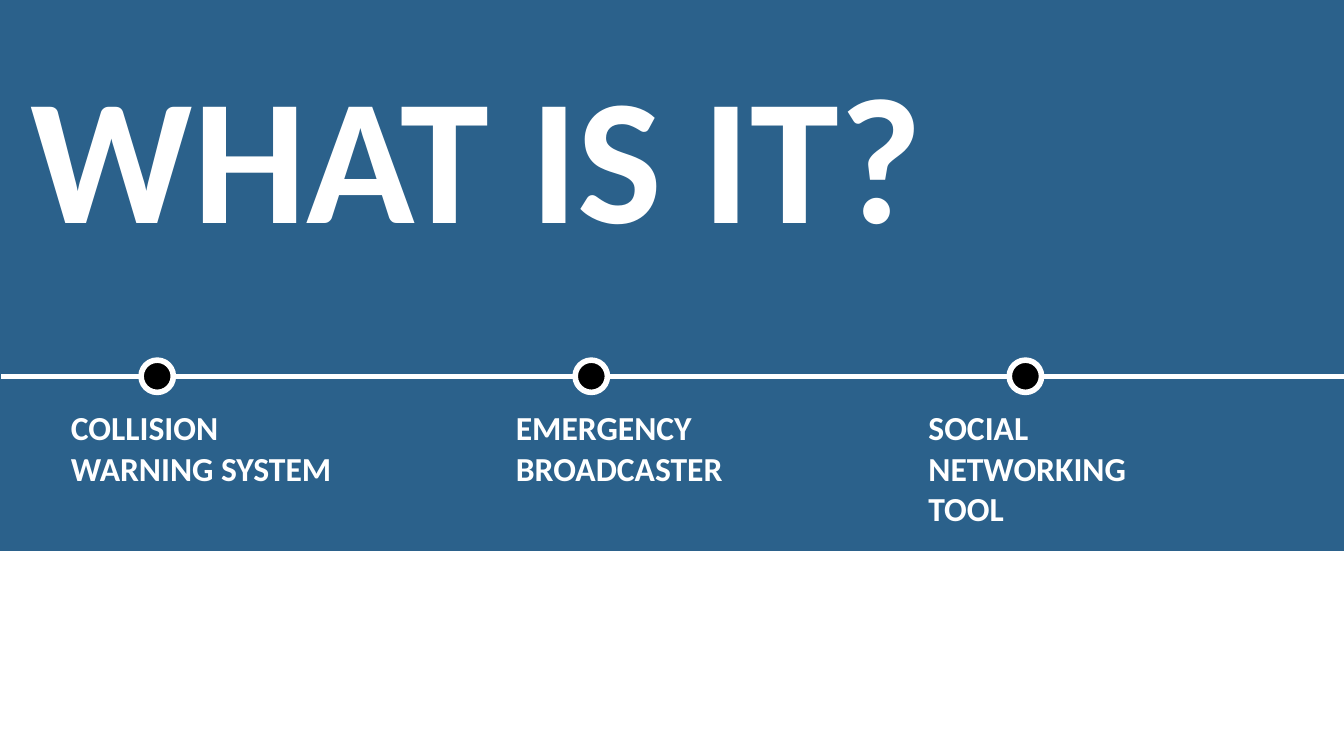
from dataclasses import dataclass

from lxml import etree
from pptx import Presentation
from pptx import util as u
from pptx.dml.color import RGBColor
from pptx.enum import shapes, text
from pptx.oxml.ns import qn

HUES = {"band": "2B618B", "dot": "000000", "light": "FFFFFF"}
FONT = "Calibri"
WIDTH = 10
AXIS = 2.8
DOT = 0.24
FIRST, STEP = 1.05, 3.23


@dataclass
class Stop:
    label: str
    left: float


STOPS = [
    Stop("COLLISION WARNING SYSTEM", 0.43),
    Stop("EMERGENCY BROADCASTER", 3.74),
    Stop("SOCIAL NETWORKING TOOL", 6.81),
]


def hue(name: str) -> RGBColor:
    return RGBColor.from_string(HUES[name])


def add_solid(slide, kind, box: tuple, fill: str):
    shape = slide.shapes.add_shape(kind, *map(u.Inches, box))
    shape.shadow.inherit = False
    shape.fill.solid()
    shape.fill.fore_color.rgb = hue(fill)
    shape.line.fill.background()
    return shape


def set_line(line) -> None:
    line.color.rgb = hue("light")
    line.width = u.Pt(3)


def set_text(shape, words: str, size: float, inset: float = 0.1) -> None:
    frame = shape.text_frame
    frame.text = words
    frame.word_wrap = True
    frame.auto_size = text.MSO_AUTO_SIZE.NONE
    frame.vertical_anchor = text.MSO_ANCHOR.TOP
    frame.margin_left = u.Inches(inset)
    frame.margin_right = frame.margin_top = frame.margin_bottom = u.Inches(0.1)
    para = frame.paragraphs[0]
    para.alignment = text.PP_ALIGN.LEFT
    para.line_spacing = 1.0
    para.space_before = u.Pt(0)
    font = para.runs[0].font
    font.name, font.size, font.bold = FONT, u.Pt(size), True
    font.color.rgb = hue("light")


def add_axis(slide) -> None:
    axis = slide.shapes.add_connector(
        shapes.MSO_CONNECTOR.STRAIGHT,
        u.Inches(0.01), u.Inches(AXIS), u.Inches(WIDTH), u.Inches(AXIS),
    )
    set_line(axis.line)
    etree.SubElement(axis._element.spPr, qn("a:effectLst"))


def add_dot(slide, left: float) -> None:
    box = (left, AXIS - DOT / 2, DOT, DOT)
    dot = add_solid(slide, shapes.MSO_SHAPE.OVAL, box, "dot")
    set_line(dot.line)


def add_label(slide, stop: Stop) -> None:
    box = (stop.left, 2.93, 2.2, 0.45)
    label = slide.shapes.add_textbox(*map(u.Inches, box))
    set_text(label, stop.label, 18)


def add_title(slide) -> None:
    title = slide.shapes.title
    title.left, title.top = u.Inches(-0.17), u.Inches(0.23)
    title.width, title.height = u.Inches(8.82), u.Inches(1.27)
    set_text(title, "WHAT IS IT?", 96, inset=0.4)
    slide.shapes._spTree.append(title._element)


def main() -> None:
    deck = Presentation()
    deck.slide_width = u.Inches(WIDTH)
    deck.slide_height = u.Inches(WIDTH * 9 / 16)
    slide = deck.slides.add_slide(deck.slide_layouts[5])
    slide.background.fill.solid()
    slide.background.fill.fore_color.rgb = hue("light")
    add_solid(slide, shapes.MSO_SHAPE.RECTANGLE, (0, 0, WIDTH, 4.1), "band")
    add_axis(slide)
    for i in range(len(STOPS)):
        add_dot(slide, FIRST + i * STEP)
    for stop in STOPS:
        add_label(slide, stop)
    add_title(slide)
    deck.save("out.pptx")


if __name__ == "__main__":
    main()
